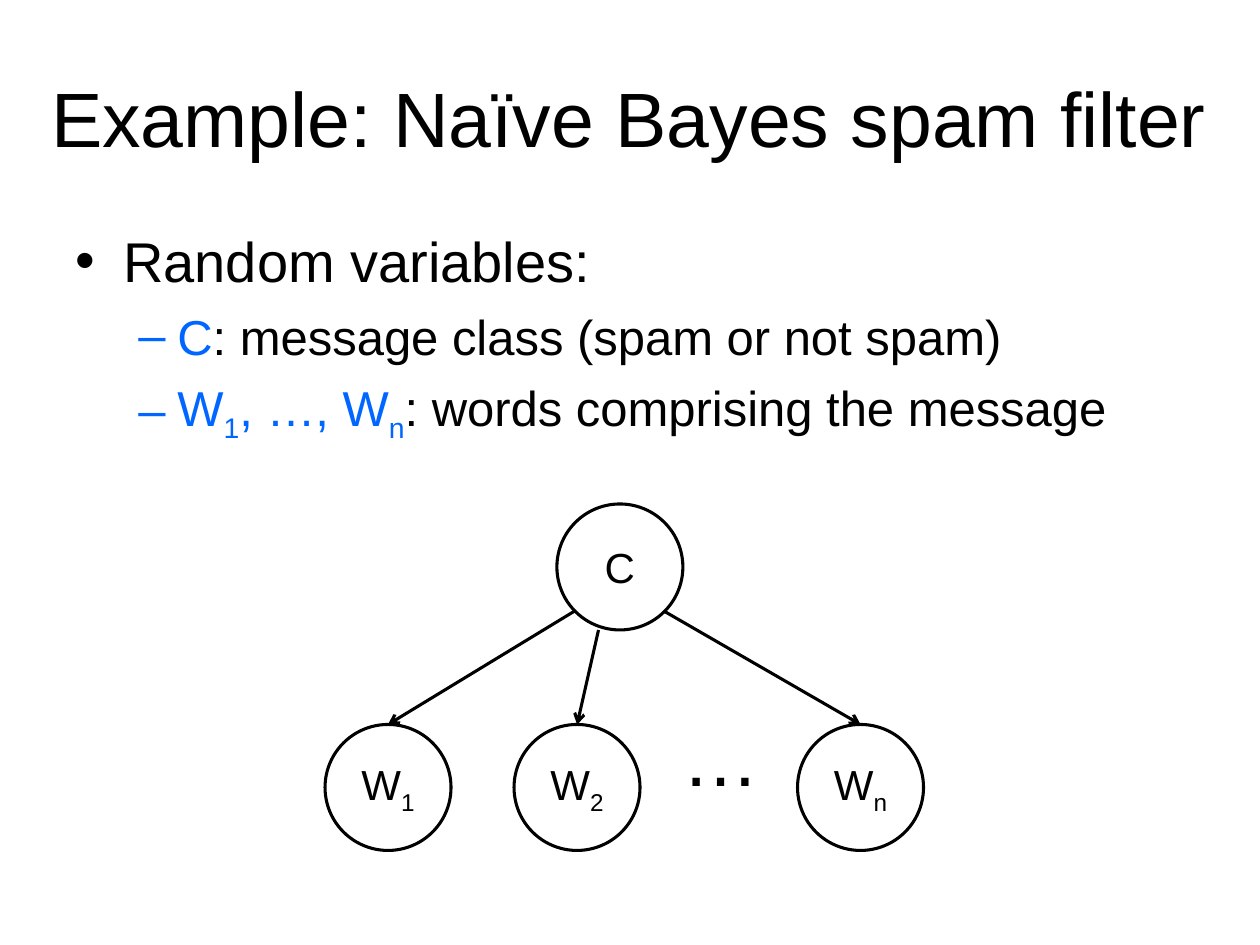
import lxml.etree
import pptx
import pptx.dml.color
import pptx.enum.shapes
import pptx.enum.text
import pptx.oxml.ns
import pptx.util

PX = 9144  # EMU per px, 100 px to the inch
BLACK, BLUE = "000000", "0066FF"
ALIGN = pptx.enum.text.PP_ALIGN
ANCHOR = pptx.enum.text.MSO_ANCHOR


def px(*values):
    return [pptx.util.Emu(v * PX) for v in values]


def color(hex_string):
    return pptx.dml.color.RGBColor.from_string(hex_string)


def add_xml(parent, tag, **attrs):
    return lxml.etree.SubElement(parent, pptx.oxml.ns.qn(tag), attrs)


class Deck:
    font = "Arial"
    line_width = pptx.util.Pt(1.75)

    def __init__(self, width, height):
        self.prs = pptx.Presentation()
        self.prs.slide_width, self.prs.slide_height = px(width, height)
        self.s = self.prs.slides.add_slide(self.prs.slide_layouts[5])

    def fill_paragraph(self, p, runs, size, align=ALIGN.LEFT):
        """Fill a paragraph with (text, colour, is_subscript) runs."""
        p.alignment = align
        p.font.name, p.font.size = self.font, pptx.util.Pt(size)
        for text, hex_string, subscript in runs:
            r = p.add_run()
            r.text = text
            r.font.color.rgb = color(hex_string)
            if subscript:
                r._r.get_or_add_rPr().set("baseline", "-25000")

    def title(self, text, box, size):
        sp = self.s.shapes.title
        sp.left, sp.top, sp.width, sp.height = px(*box)
        tf = sp.text_frame
        tf.auto_size = pptx.enum.text.MSO_AUTO_SIZE.NONE
        tf.vertical_anchor = ANCHOR.MIDDLE
        self.fill_paragraph(tf.paragraphs[0], [(text, BLACK, False)], size,
                            ALIGN.CENTER)

    def text_box(self, box):
        tf = self.s.shapes.add_textbox(*px(*box)).text_frame
        tf.word_wrap = True
        return tf

    def text(self, text, box, size):
        tf = self.text_box(box)
        self.fill_paragraph(tf.paragraphs[0], [(text, BLACK, False)], size)

    def bullets(self, items, box):
        # bullet, left margin, hanging indent, text size, space before
        levels = [("•", 38, 38, 32, 8), ("–", 81, 31, 28, 7)]
        tf = self.text_box(box)
        for i, (level, runs) in enumerate(items):
            bullet, margin, hanging, size, before = levels[level]
            p = tf.add_paragraph() if i else tf.paragraphs[0]
            p.level = level
            p.space_before = pptx.util.Pt(before)
            pPr = p._p.get_or_add_pPr()
            pPr.set("marL", str(margin * PX))
            pPr.set("indent", str(-hanging * PX))
            add_xml(pPr, "a:buFont", typeface=self.font)
            add_xml(pPr, "a:buChar", char=bullet)
            self.fill_paragraph(p, runs, size)

    def node(self, left, top, runs, diameter=100):
        sp = self.s.shapes.add_shape(pptx.enum.shapes.MSO_SHAPE.OVAL,
                                     *px(left, top, diameter, diameter))
        sp.shadow.inherit = False
        sp.fill.background()
        sp.line.color.rgb = color(BLACK)
        sp.line.width = self.line_width
        tf = sp.text_frame
        tf.word_wrap = False
        tf.vertical_anchor = ANCHOR.MIDDLE
        self.fill_paragraph(tf.paragraphs[0], runs, 24, ALIGN.CENTER)
        return sp

    def arrow(self, x, y, target):
        """Draw an arrow from a point to the top of a node."""
        sp = self.s.shapes.add_connector(pptx.enum.shapes.MSO_CONNECTOR.STRAIGHT,
                                         *px(x, y, x, y))
        sp.end_connect(target, 0)
        sp.line.color.rgb = color(BLACK)
        sp.line.width = self.line_width
        add_xml(sp.line._get_or_add_ln(), "a:tailEnd", type="arrow")
        add_xml(sp._element.spPr, "a:effectLst")


def main():
    deck = Deck(1000, 750)
    deck.title("Example: Naïve Bayes spam filter", (8, 30, 983, 125), 44)

    # Random variables
    deck.bullets([
        (0, [("Random variables:", BLACK, False)]),
        (1, [("C", BLUE, False),
             (": message class (spam or not spam)", BLACK, False)]),
        (1, [("W", BLUE, False), ("1", BLUE, True), (", …, W", BLUE, False),
             ("n", BLUE, True), (": words comprising the message", BLACK, False)]),
    ], (50, 175, 900, 495))

    # Word nodes, then the class node above them
    words = [deck.node(left, 575, [("W", BLACK, False), (index, BLACK, True)])
             for left, index in ((258, "1"), (408, "2"), (633, "n"))]
    deck.text("…", (532, 558, 140, 84), 44)
    deck.node(442, 400, [("C", BLACK, False)])

    # Arrows from the class to each word
    for (x, y), word in zip(((456, 485), (475, 500), (527, 485)), words):
        deck.arrow(x, y, word)

    deck.prs.save("out.pptx")


if __name__ == "__main__":
    main()
